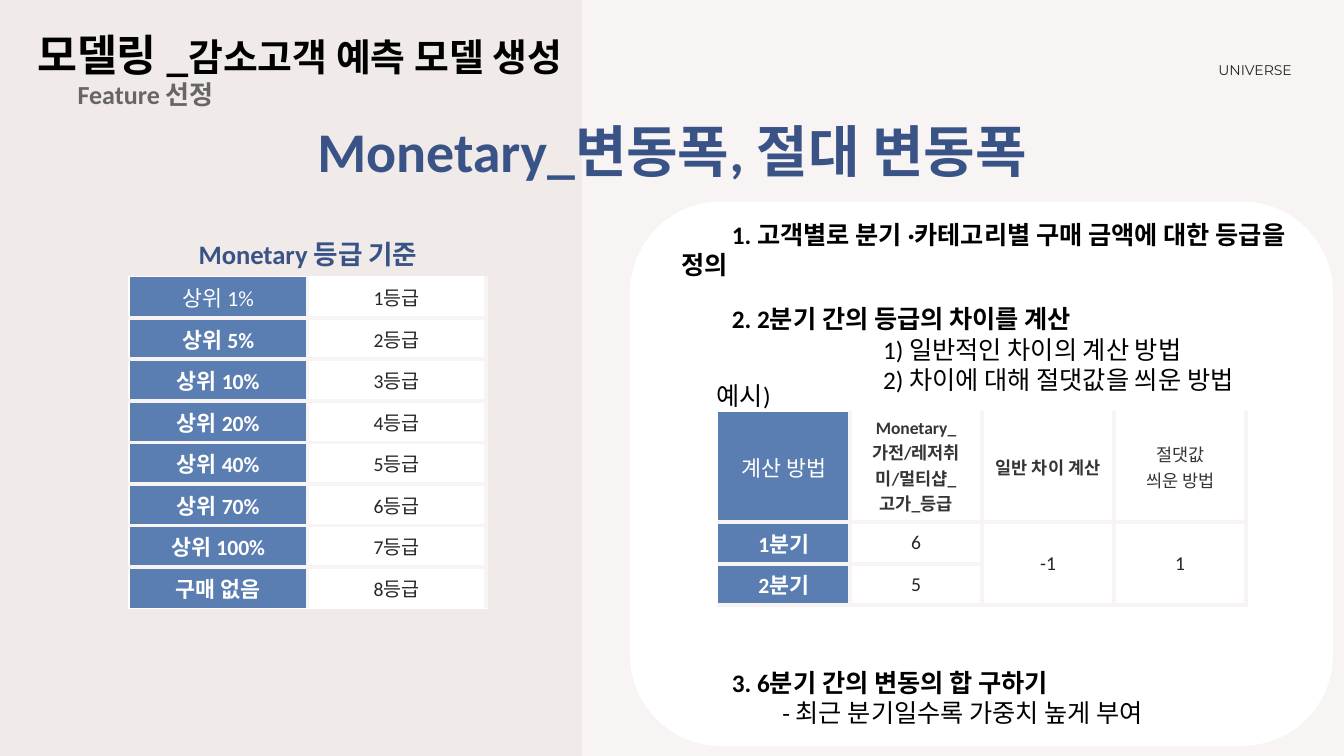
from dataclasses import dataclass

import pptx
import pptx.dml.color
import pptx.enum.shapes
import pptx.enum.text
import pptx.oxml
import pptx.oxml.ns
import pptx.util

Inches = pptx.util.Inches
Pt = pptx.util.Pt
Align = pptx.enum.text.PP_ALIGN
Anchor = pptx.enum.text.MSO_ANCHOR

COLORS = {
    "background": "F7F4F3", "band": "F0EAE8", "white": "FFFFFF", "black": "000000",
    "gray": "666666", "navy": "3A5386", "blue": "5A7EB2", "ink": "262626", "header": "353535",
}


@dataclass
class Style:
    size: float
    color: str
    bold: bool = False
    font: str = "Calibri"


@dataclass
class Label:
    spans: list
    area: tuple
    align: Align = Align.LEFT
    anchor: Anchor = Anchor.TOP
    insets: tuple = (0.1, 0.1)
    line_spacing: float = 1.0


@dataclass
class Step:
    text: str
    bold: bool
    margin: float
    indent: float
    space_before: float = 0


@dataclass
class CellText:
    text: str
    style: Style
    fill: str = "white"


def rgb(name: str) -> pptx.dml.color.RGBColor:
    return pptx.dml.color.RGBColor.from_string(COLORS[name])


def format_span(span, style: Style) -> None:
    span.font.name = style.font
    span.font.size = Pt(style.size)
    span.font.bold = style.bold
    span.font.color.rgb = rgb(style.color)


def place(shape, area: tuple) -> None:
    shape.left, shape.top, shape.width, shape.height = (Inches(value) for value in area)


def set_frame(frame, insets: tuple, anchor: Anchor) -> None:
    frame.word_wrap = True
    frame.auto_size = pptx.enum.text.MSO_AUTO_SIZE.NONE
    frame.vertical_anchor = anchor
    frame.margin_left = frame.margin_right = Inches(insets[0])
    frame.margin_top = frame.margin_bottom = Inches(insets[1])


def add_panel(page, kind, area: tuple, color: str):
    panel = page.shapes.add_shape(kind, *(Inches(value) for value in area))
    panel.shadow.inherit = False
    panel.fill.solid()
    panel.fill.fore_color.rgb = rgb(color)
    panel.line.fill.background()
    return panel


def add_label(page, label: Label) -> None:
    box = page.shapes.add_textbox(*(Inches(value) for value in label.area))
    set_frame(box.text_frame, label.insets, label.anchor)
    para = box.text_frame.paragraphs[0]
    para.alignment = label.align
    para.line_spacing = label.line_spacing
    for text, style in label.spans:
        span = para.add_run()
        span.text = text
        format_span(span, style)


def fill_steps(body, steps: list) -> None:
    set_frame(body.text_frame, (0.1, 0.1), Anchor.MIDDLE)
    body.text_frame.text = "\n".join(step.text for step in steps)
    for para, step in zip(body.text_frame.paragraphs, steps):
        properties = para._p.get_or_add_pPr()
        properties.set("marL", str(Inches(step.margin)))
        properties.set("indent", str(Inches(step.indent)))
        properties.append(pptx.oxml.parse_xml(
            f"<a:buNone {pptx.oxml.ns.nsdecls('a')}/>"))
        para.alignment = Align.LEFT
        para.line_spacing = 1.0
        para.space_before = Pt(step.space_before)
        format_span(para.runs[0], Style(18, "black", step.bold))


def set_borders(cell, thin_sides: set) -> None:
    properties = cell._tc.get_or_add_tcPr()
    for index, side in enumerate("LRTB"):
        color, width = ("white", 1) if side in thin_sides else ("background", 3)
        properties.insert(index, pptx.oxml.parse_xml(
            f'<a:ln{side} {pptx.oxml.ns.nsdecls("a")} w="{Pt(width)}"><a:solidFill>'
            f'<a:srgbClr val="{COLORS[color]}"/></a:solidFill></a:ln{side}>'))


def add_grid(page, left: float, top: float, column_width: float,
             row_heights: list, rows: list, thin_bottom: bool):
    """Draw a table whose outer left and top edges are thin and white."""
    columns = len(rows[0])
    table = page.shapes.add_table(
        len(rows), columns, Inches(left), Inches(top),
        Inches(column_width * columns), Inches(sum(row_heights))).table
    for column in table.columns:
        column.width = Inches(column_width)
    for row_index, (row, height) in enumerate(zip(rows, row_heights)):
        table.rows[row_index].height = Inches(height)
        for column_index, content in enumerate(row):
            cell = table.cell(row_index, column_index)
            cell.vertical_anchor = Anchor.MIDDLE
            cell.fill.solid()
            cell.fill.fore_color.rgb = rgb(content.fill)
            edges = {"L": column_index == 0, "T": row_index == 0,
                     "B": thin_bottom and row_index == len(rows) - 1}
            set_borders(cell, {side for side, thin in edges.items() if thin})
            cell.text_frame.text = content.text
            for para in cell.text_frame.paragraphs:
                para.alignment = Align.CENTER
                for span in para.runs:
                    format_span(span, content.style)
    return table


def main() -> None:
    deck = pptx.Presentation()
    deck.slide_width, deck.slide_height = Inches(13.33), Inches(7.5)
    page = deck.slides.add_slide(deck.slide_layouts[1])
    page.background.fill.solid()
    page.background.fill.fore_color.rgb = rgb("background")
    title, body = page.shapes.title, page.placeholders[1]

    # Backdrop panels, behind the placeholders
    shapes = pptx.enum.shapes.MSO_SHAPE
    for kind, area, color in [
        (shapes.RECTANGLE, (0, 0, 5.77, 7.5), "band"),
        (shapes.ROUNDED_RECTANGLE, (6.25, 2, 6.97, 5.4), "white"),
    ]:
        title.element.addprevious(add_panel(page, kind, area, color).element)

    # Title
    place(title, (0, 1.11, 13.33, 0.89))
    set_frame(title.text_frame, (0.1, 0.05), Anchor.TOP)
    title.text_frame.text = "Monetary_변동폭, 절대 변동폭"
    title.text_frame.paragraphs[0].alignment = Align.CENTER
    format_span(title.text_frame.paragraphs[0].runs[0], Style(40, "navy", True))

    # Calculation steps
    place(body, (6.16, 2, 6.9, 5.4))
    fill_steps(body, [
        Step("1. 고객별로 분기 ·카테고리별 구매 금액에 대한 등급을 정의", True, 0.5, 0.5),
        Step("2. 2분기 간의 등급의 차이를 계산", True, 0.5, 0.5, 17),
        Step("1) 일반적인 차이의 계산 방법", False, 2.5, 0),
        Step("2) 차이에 대해 절댓값을 씌운 방법", False, 2.5, 0),
        Step("3. 6분기 간의 변동의 합 구하기", True, 0.5, 0.5, 195),
        Step("- 최근 분기일수록 가중치 높게 부여", False, 1, 0.5),
    ])

    # Headings and captions
    for label in [
        Label([("모델링 _", Style(31, "black", True)),
               ("감소고객 예측 모델 생성", Style(27, "black", True))],
              (0.27, 0.16, 12.42, 0.83), anchor=Anchor.MIDDLE,
              insets=(0.1, 0.05), line_spacing=0.9),
        Label([("Feature 선정", Style(18.6, "gray", True))],
              (0.64, 0.71, 3.3, 0.55), insets=(0.13, 0.13), line_spacing=0.8),
        Label([("Monetary 등급 기준", Style(19, "navy", True))],
              (1.19, 2.26, 3.73, 0.52), Align.CENTER),
        Label([("예시)", Style(18, "black"))], (7.01, 3.67, 0.82, 0.5)),
        Label([("UNIVERSE", Style(10, "ink", font="Montserrat"))],
              (6.46, 0.56, 6.45, 0.27), Align.RIGHT, insets=(0.1, 0.05)),
    ]:
        add_label(page, label)

    # Grade table
    corner, side = Style(15.5, "white"), Style(15.5, "white", True)
    value = Style(14, "ink")
    ranges = [f"상위 {share}%" for share in (1, 5, 10, 20, 40, 70, 100)] + ["구매 없음"]
    grades = [[CellText(text, side if index else corner, "blue"),
               CellText(f"{index + 1}등급", value)] for index, text in enumerate(ranges)]
    add_grid(page, 1.28, 2.74, 1.77, [0.41] * len(grades), grades, True)

    # Example table
    header = Style(12.5, "header", True)
    example = add_grid(page, 7.12, 4.08, 1.31, [1.1, 0.36, 0.36], [
        [CellText("계산 방법", corner, "blue"),
         CellText("Monetary_가전/레저취미/멀티샵_고가_등급", header),
         CellText("일반 차이 계산", header),
         CellText("절댓값\n씌운 방법", Style(12.5, "header"))],
        [CellText("1분기", side, "blue")] + [CellText(text, value) for text in ("6", "-1", "1")],
        [CellText("2분기", side, "blue")] + [CellText(text, value) for text in ("5", "", "")],
    ], False)
    for column in (2, 3):
        example.cell(1, column).merge(example.cell(2, column))

    deck.save("out.pptx")


if __name__ == "__main__":
    main()
